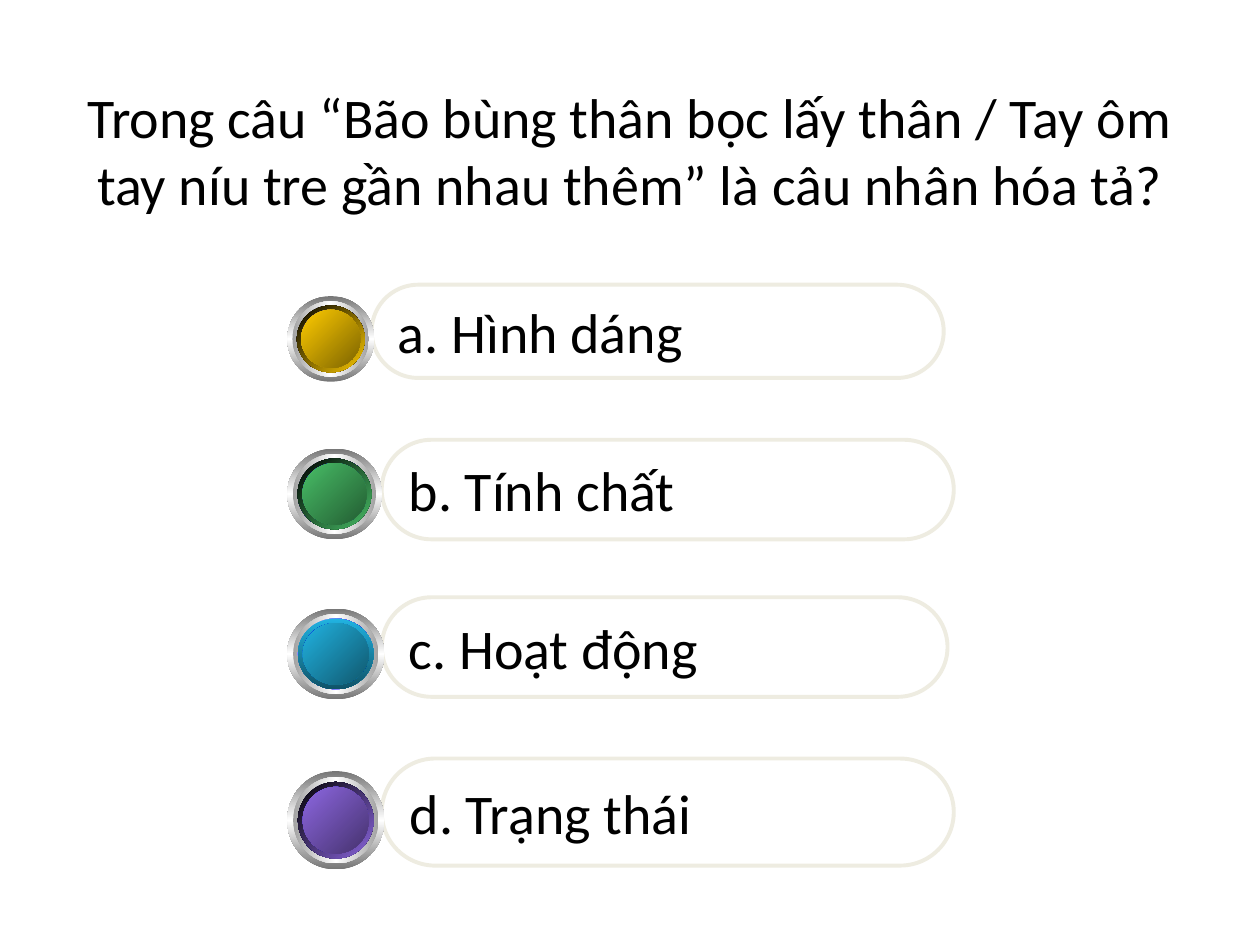
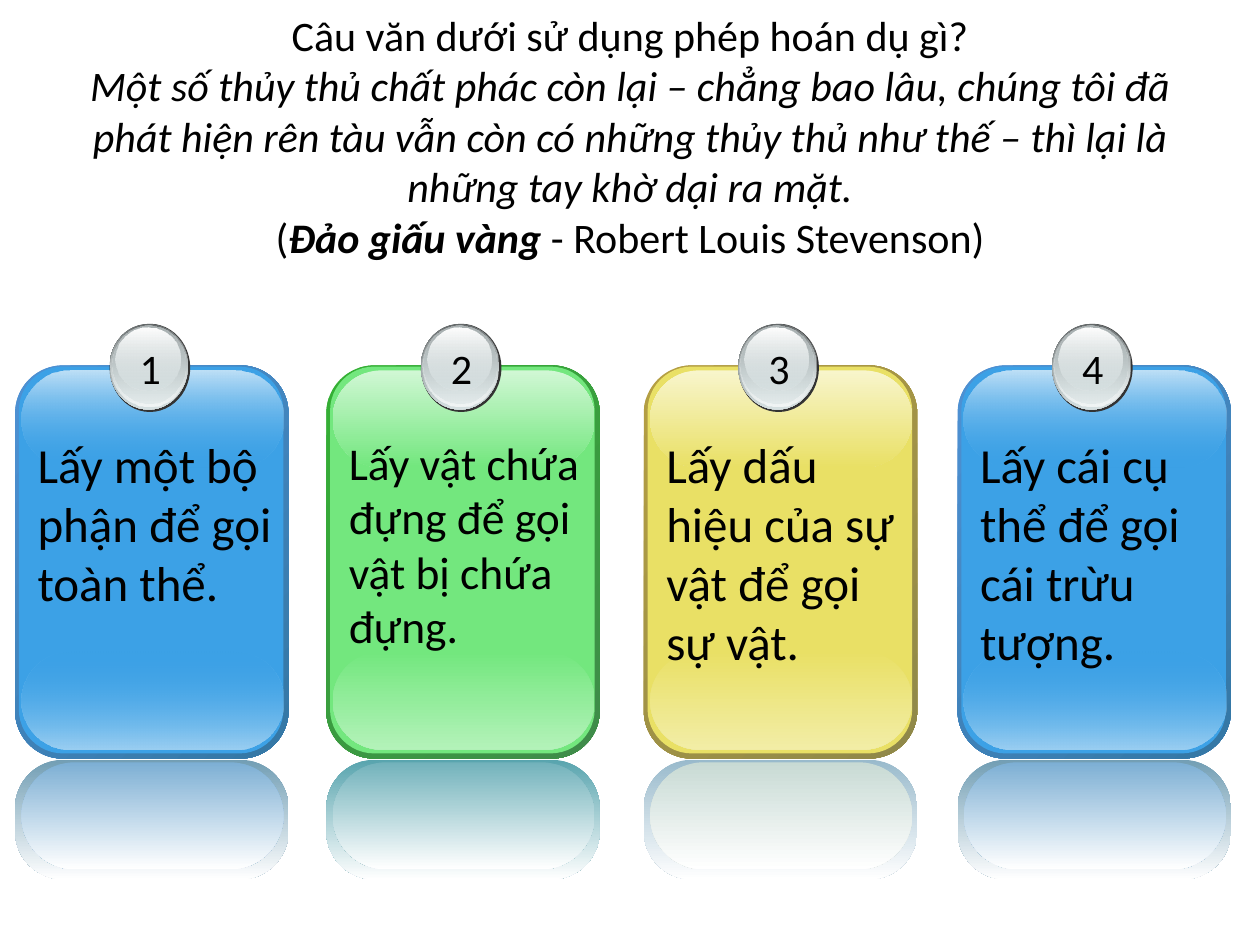
from pptx import Presentation
from pptx.dml.color import RGBColor
from pptx.enum.shapes import MSO_SHAPE
from pptx.enum.text import MSO_ANCHOR, MSO_AUTO_SIZE, PP_ALIGN
from pptx.oxml import parse_xml
from pptx.oxml.ns import nsdecls
from pptx.util import Inches, Pt

ROUND, OVAL = MSO_SHAPE.ROUNDED_RECTANGLE, MSO_SHAPE.OVAL
LEFT, CENTER = PP_ALIGN.LEFT, PP_ALIGN.CENTER
MIDDLE = MSO_ANCHOR.MIDDLE
FONT = "Calibri"
COLORS = {
    "text": "000000", "white": "FFFFFF", "pill": "EEECE1",
    "steel": "767676", "silver": "A2A2A2", "navy": "0000C3", "blue": "0000FF",
    "badge_edge": "333333", "badge_dark": "636869", "badge_mid": "AAB2B3",
    "badge": "D6E1E2", "badge_light": "F1F5F5",
}

# Slide 1: (text, pill box, button box, rim stops, rim angle, face stops)
QUESTION = [("Trong câu “Bão bùng thân bọc lấy thân / Tay ôm tay níu tre "
             "gần nhau thêm” là câu nhân hóa tả?", {})]
ANSWERS = [
    ("a. Hình dáng", (2.95, 2.26, 4.54, 0.74), (2.28, 2.35, 0.69, 0.68),
     ("000000", "FFCC00"), 45, ("FFCC00", "7C6300")),
    ("b. Tính chất", (3.03, 3.49, 4.54, 0.79), (2.28, 3.56, 0.75, 0.72),
     ("000000", "48BE67"), 45, ("48BE67", "235C32")),
    ("c. Hoạt động", (3.03, 4.74, 4.49, 0.79), (2.28, 4.83, 0.77, 0.72),
     ("21B3E1", "0F5368"), 90, ("21B3E1", "10576D")),
    ("d. Trạng thái", (3.03, 6.02, 4.54, 0.85), (2.28, 6.12, 0.77, 0.78),
     ("000000", "8D67E1"), 45, ("8D67E1", "45326D")),
]

# Slide 2: title runs, with "\n" ending a line
QUOTE = [
    ("Câu văn dưới sử dụng phép hoán dụ gì?\n", {}),
    ("Một số thủy thủ chất phác còn lại – chẳng bao lâu, chúng tôi đã phát "
     "hiện rên tàu vẫn còn có những thủy thủ như thế – thì lại là những tay "
     "khờ dại ra mặt.\n", {"italic": True}),
    ("(", {}),
    ("Đảo giấu vàng", {"bold": True, "italic": True}),
    ("\u00a0- Robert Louis Stevenson)", {}),
]
BLUE = {"edge": ("4E91D4", "3477A4"), "face": "3CA1E6", "top": "BEE0F7",
        "bottom": "9BCFF2", "mirror": "729EB4", "mirror_face": "7DAFD4", "fade": 0}
GREEN = {"edge": ("34B034", "3F8B4A"), "face": "73E77E", "top": "D0F7D4",
         "bottom": "B3F2B9", "mirror": "58A4AE", "mirror_face": "72B2BB", "fade": 100}
YELLOW = {"edge": ("B59F43", "8F8849"), "face": "E9E065", "top": "F8F5CC",
          "bottom": "F2EDA6", "mirror": "99BACC", "mirror_face": "C8DAD4", "fade": 100}
CARDS = [  # (left, palette, text, size)
    (0.12, BLUE, "Lấy một bộ phận để gọi toàn thể.", 28),
    (2.59, GREEN, "Lấy vật chứa đựng để gọi vật bị chứa đựng.", 26),
    (5.11, YELLOW, "Lấy dấu hiệu của sự vật để gọi sự vật.", 28),
    (7.6, BLUE, "Lấy cái cụ thể để gọi cái trừu tượng.", 28),
]


def rgb(value):
    return RGBColor.from_string(value)


def gradient(sp, stops, angle):
    """Fill with evenly spaced stops: a colour or (colour, opacity percent)."""
    xml = ""
    for i, stop in enumerate(stops):
        color, opacity = (stop, 100) if isinstance(stop, str) else stop
        alpha = f'<a:alpha val="{opacity * 1000}"/>' if opacity < 100 else ""
        xml += (f'<a:gs pos="{i * 100000 // (len(stops) - 1)}">'
                f'<a:srgbClr val="{color}">{alpha}</a:srgbClr></a:gs>')
    sp._element.spPr.insert(2, parse_xml(
        f'<a:gradFill {nsdecls("a")} rotWithShape="1"><a:gsLst>{xml}</a:gsLst>'
        f'<a:lin ang="{angle * 60000}" scaled="0"/></a:gradFill>'))


def add_shape(shapes, kind, box, fill=None, angle=90, adj=None):
    sp = shapes.add_shape(kind, *map(Inches, box))
    sp.shadow.inherit = False
    sp.line.fill.background()
    if adj is not None:
        sp.adjustments[0] = adj
    if fill is None:
        sp.fill.background()
    elif isinstance(fill, str):
        sp.fill.solid()
        sp.fill.fore_color.rgb = rgb(fill)
    else:
        gradient(sp, fill, angle)
    return sp


def style(p, size, align=LEFT):
    p.alignment = align
    p.font.size, p.font.name = Pt(size), FONT
    p.font.color.rgb = rgb(COLORS["text"])


def add_text(shapes, box, text, size, align=LEFT, wrap=True):
    tf = shapes.add_textbox(*map(Inches, box)).text_frame
    tf.word_wrap = wrap
    tf.text = text
    style(tf.paragraphs[0], size, align)


def add_slide(prs, runs, box, size):
    s = prs.slides.add_slide(prs.slide_layouts[5])
    title = s.shapes.title
    title.left, title.top, title.width, title.height = map(Inches, box)
    tf = title.text_frame
    tf.auto_size, tf.vertical_anchor = MSO_AUTO_SIZE.NONE, MIDDLE
    p = tf.paragraphs[0]
    style(p, size, CENTER)
    for text, look in runs:
        r = p.add_run()
        r.text = text.rstrip("\n")
        r.font.bold, r.font.italic = look.get("bold"), look.get("italic")
        if text.endswith("\n"):
            p.add_line_break()
    return s


def add_button(s, box, rim, rim_angle, face):
    """Concentric ellipses, each a share of the outer one."""
    c = COLORS
    rings = [
        (1, (c["steel"], c["white"], c["steel"]), 90),
        (0.88, (c["silver"], c["white"], c["silver"]), 0),
        (0.78, (c["white"], c["blue"], c["white"]), 45),
        (0.78, rim, rim_angle),
        (0.68, (c["navy"], c["blue"], c["navy"]), 315),
        (0.68, face, 45),
    ]
    x, y, w, h = box
    group = s.shapes.add_group_shape()
    for share, stops, angle in rings:
        inset = (1 - share) / 2
        add_shape(group.shapes, OVAL,
                  (x + w * inset, y + h * inset, w * share, h * share), stops, angle)


def add_answer(s, text, pill, button, rim, rim_angle, face):
    sp = add_shape(s.shapes, ROUND, pill, adj=0.5)
    sp.line.color.rgb, sp.line.width = rgb(COLORS["pill"]), Pt(2.25)
    tf = sp.text_frame
    tf.word_wrap, tf.vertical_anchor = True, MIDDLE
    tf.text = text
    style(tf.paragraphs[0], 32)
    add_button(s, button, rim, rim_angle, face)


def add_card(s, number, x, pal, text, size):
    c, clear = COLORS, (pal["face"], pal["fade"])
    shapes = s.shapes.add_group_shape().shapes
    # Body, sheens and reflection: offset, top, width, height, corner, fill, angle
    for dx, y, w, h, adj, fill, angle in [
        (0, 2.9, 2.17, 3.12, 0.175, pal["edge"], 45),
        (0.03, 2.91, 2.1, 3.07, 0.167, pal["face"], 0),
        (0.05, 5.17, 2.08, 0.78, 0.5, (clear, pal["bottom"]), 90),
        (0.05, 2.94, 2.08, 0.77, 0.5, (pal["top"], clear), 90),
        (0, 6.03, 2.17, 0.95, 0.404, (pal["mirror"], c["white"]), 90),
        (0.05, 6.05, 2.08, 0.85, 0.5, (pal["mirror_face"], c["white"]), 90),
    ]:
        add_shape(shapes, ROUND, (x + dx, y, w, h), fill, angle, adj)
    # Number badge
    for dx, y, w, h, fill in [
        (0.75, 2.57, 0.64, 0.7, c["badge_edge"]),
        (0.75, 2.57, 0.62, 0.68, (c["badge_dark"], c["badge"])),
        (0.76, 2.57, 0.61, 0.66, ((c["badge"], 0), c["badge_light"])),
        (0.77, 2.58, 0.58, 0.62, (c["badge_mid"], (c["badge"], 48))),
        (0.8, 2.6, 0.51, 0.5, (c["white"], (c["badge"], 38))),
    ]:
        add_shape(shapes, OVAL, (x + dx, y, w, h), fill)
    add_text(shapes, (x + 0.89, 2.67, 0.35, 0.5), str(number), 24, CENTER, wrap=False)
    add_text(shapes, (x + 0.08, 3.4, 2.06, 1.99), text, size)


def main():
    prs = Presentation()
    prs.slide_width, prs.slide_height = Inches(10), Inches(7.5)

    s = add_slide(prs, QUESTION, (0.5, 0.3, 9, 1.78), 32)
    for answer in ANSWERS:
        add_answer(s, *answer)

    s = add_slide(prs, QUOTE, (0.5, 0.45, 9, 1.25), 24)
    for number, card in enumerate(CARDS, 1):
        add_card(s, number, *card)

    prs.save("out.pptx")


if __name__ == "__main__":
    main()
